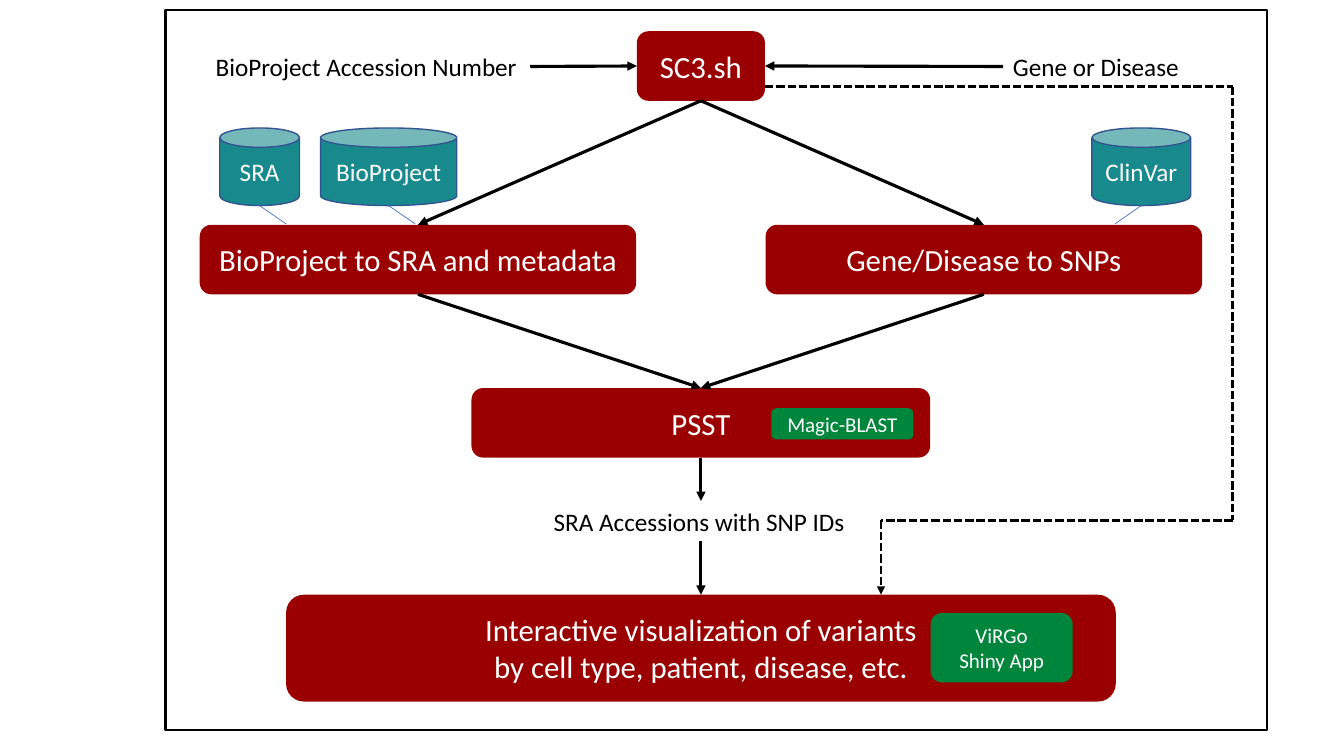
"""Build the SC3 workflow slide, with every length given as a percentage of the slide."""
import pptx
import pptx.util
import pptx.dml.color
import pptx.enum.dml
import pptx.enum.shapes
import pptx.enum.text
import pptx.oxml

RGB = pptx.dml.color.RGBColor
RED, GREEN, TEAL = RGB(0x9A, 0, 0), RGB(0, 0x85, 0x3C), RGB(0x18, 0x8A, 0x8D)
BLACK, WHITE = RGB(0, 0, 0), RGB(0xFF, 0xFF, 0xFF)
CAN_EDGE, POINTER = RGB(0x32, 0x54, 0x91), RGB(0x44, 0x72, 0xC4)
SHAPE = pptx.enum.shapes.MSO_SHAPE
DASH = pptx.enum.dml.MSO_LINE.SQUARE_DOT
TOP, LEFT, BOTTOM, RIGHT = range(4)
SLIDE_WIDTH, SLIDE_HEIGHT = pptx.util.Inches(13.33), pptx.util.Inches(7.5)

AXIS, BRANCH = 52.15, 21.05
ROW_HEIGHT, CAN_TOP, CAN_HEIGHT = 9.2, 16.93, 10.27
INPUT_TOP, LABEL_HEIGHT = 6.13, 5.33
RESULT_TOP = 78.67

# key: (text, centre, top, width, height)
STEPS = {
    "start": ("SC3.sh", AXIS, 4.13, 9.53, ROW_HEIGHT),
    "project": ("BioProject to SRA and metadata", AXIS - BRANCH, 29.73, 32.48, ROW_HEIGHT),
    "gene": ("Gene/Disease to SNPs", AXIS + BRANCH, 29.73, 32.48, ROW_HEIGHT),
    "search": ("PSST", AXIS, 51.33, 34.13, ROW_HEIGHT),
    "result": ("Interactive visualization of variants\nby cell type, patient, disease, etc.",
               AXIS, RESULT_TOP, 61.73, 14.13),
}
TOOLS = {
    "aligner": ("Magic-BLAST", 62.68, 54, 10.58, 4.13),
    "viewer": ("ViRGo\nShiny App", 74.53, 81.07, 10.58, ROW_HEIGHT),
}
DATABASES = {
    "runs": ("SRA", 19.32, CAN_TOP, 5.93, CAN_HEIGHT),
    "projects": ("BioProject", 28.92, CAN_TOP, 10.13, CAN_HEIGHT),
    "variants": ("ClinVar", 84.92, CAN_TOP, 7.35, CAN_HEIGHT),
}
LABELS = {
    "accession": ("BioProject Accession Number", 27.38, INPUT_TOP, 24.15, LABEL_HEIGHT),
    "condition": ("Gene or Disease", 81.65, INPUT_TOP, 14.03, LABEL_HEIGHT),
    "matches": ("SRA Accessions with SNP IDs", AXIS, 66.27, 23.4, LABEL_HEIGHT),
}
FRAME = (53.3, 1.33, 81.98, 95.2)
ARROWS = [
    ("accession", RIGHT, "start", LEFT), ("condition", LEFT, "start", RIGHT),
    ("project", BOTTOM, "search", TOP), ("gene", BOTTOM, "search", TOP),
    ("search", BOTTOM, "matches", TOP), ("matches", BOTTOM, "result", TOP),
    ("start", BOTTOM, "project", TOP), ("start", BOTTOM, "gene", TOP),
]
POINTER_SHIFTS = {"runs": 1.95, "projects": 1.95, "variants": -1.95}
POINTER_DROP = 2.4
BYPASS = [(56.92, 11.47), (91.73, 11.47), (91.73, 68.85), (65.55, 68.85), (65.55, RESULT_TOP)]


def across(share):
    return round(SLIDE_WIDTH * share / 100)


def down(share):
    return round(SLIDE_HEIGHT * share / 100)


def bounds(centre, top, width, height):
    return across(centre - width / 2), down(top), across(width), down(height)


def write(box, text, size, color, align=None, wrap=True):
    frame = box.text_frame
    frame.text = text
    frame.word_wrap = wrap
    for para in frame.paragraphs:
        para.alignment = align
        for span in para.runs:
            span.font.name = "Calibri"
            span.font.size = pptx.util.Pt(size)
            span.font.color.rgb = color


def add_box(page, kind, place, fill=None, edge=None, edge_width=1):
    box = page.shapes.add_shape(kind, *bounds(*place))
    box.shadow.inherit = False
    if fill is None:
        box.fill.background()
    else:
        box.fill.solid()
        box.fill.fore_color.rgb = fill
    if edge is None:
        box.line.fill.background()
    else:
        box.line.color.rgb = edge
        box.line.width = pptx.util.Pt(edge_width)
    return box


def add_line(page, start=(0, 0), end=(0, 0), color=BLACK, width=2.25, dash=None, arrow=True):
    line = page.shapes.add_connector(
        pptx.enum.shapes.MSO_CONNECTOR.STRAIGHT,
        across(start[0]), down(start[1]), across(end[0]), down(end[1]))
    line.line.color.rgb = color
    line.line.width = pptx.util.Pt(width)
    if dash is not None:
        line.line.dash_style = dash
    namespace = pptx.oxml.ns.nsdecls("a")
    if arrow:
        line.line._get_or_add_ln().append(
            pptx.oxml.parse_xml(f'<a:tailEnd {namespace} type="triangle"/>'))
    line._element.spPr.append(pptx.oxml.parse_xml(f"<a:effectLst {namespace}/>"))
    return line


def main():
    deck = pptx.Presentation()
    deck.slide_width, deck.slide_height = SLIDE_WIDTH, SLIDE_HEIGHT
    page = deck.slides.add_slide(deck.slide_layouts[6])
    boxes = {}
    styles = [
        (STEPS, SHAPE.ROUNDED_RECTANGLE, RED, None, 22),
        (TOOLS, SHAPE.ROUNDED_RECTANGLE, GREEN, None, 15),
        (DATABASES, SHAPE.CAN, TEAL, CAN_EDGE, 18),
    ]
    for group, kind, fill, edge, size in styles:
        for key, (text, *place) in group.items():
            boxes[key] = add_box(page, kind, place, fill, edge)
            write(boxes[key], text, size, WHITE, pptx.enum.text.PP_ALIGN.CENTER)
    for key, (text, *place) in LABELS.items():
        boxes[key] = page.shapes.add_textbox(*bounds(*place))
        write(boxes[key], text, 18, BLACK, wrap=False)

    for source, source_side, target, target_side in ARROWS:
        arrow = add_line(page)
        arrow.begin_connect(boxes[source], source_side)
        arrow.end_connect(boxes[target], target_side)
    for key, shift in POINTER_SHIFTS.items():
        centre, bottom = DATABASES[key][1], CAN_TOP + CAN_HEIGHT
        add_line(page, (centre, bottom), (centre + shift, bottom + POINTER_DROP),
                 POINTER, 0.5, arrow=False)
    for start, end in zip(BYPASS, BYPASS[1:]):
        add_line(page, start, end, width=2, dash=DASH, arrow=end == BYPASS[-1])
    add_box(page, SHAPE.RECTANGLE, FRAME, edge=BLACK, edge_width=1.5)
    deck.save("out.pptx")


if __name__ == "__main__":
    main()
